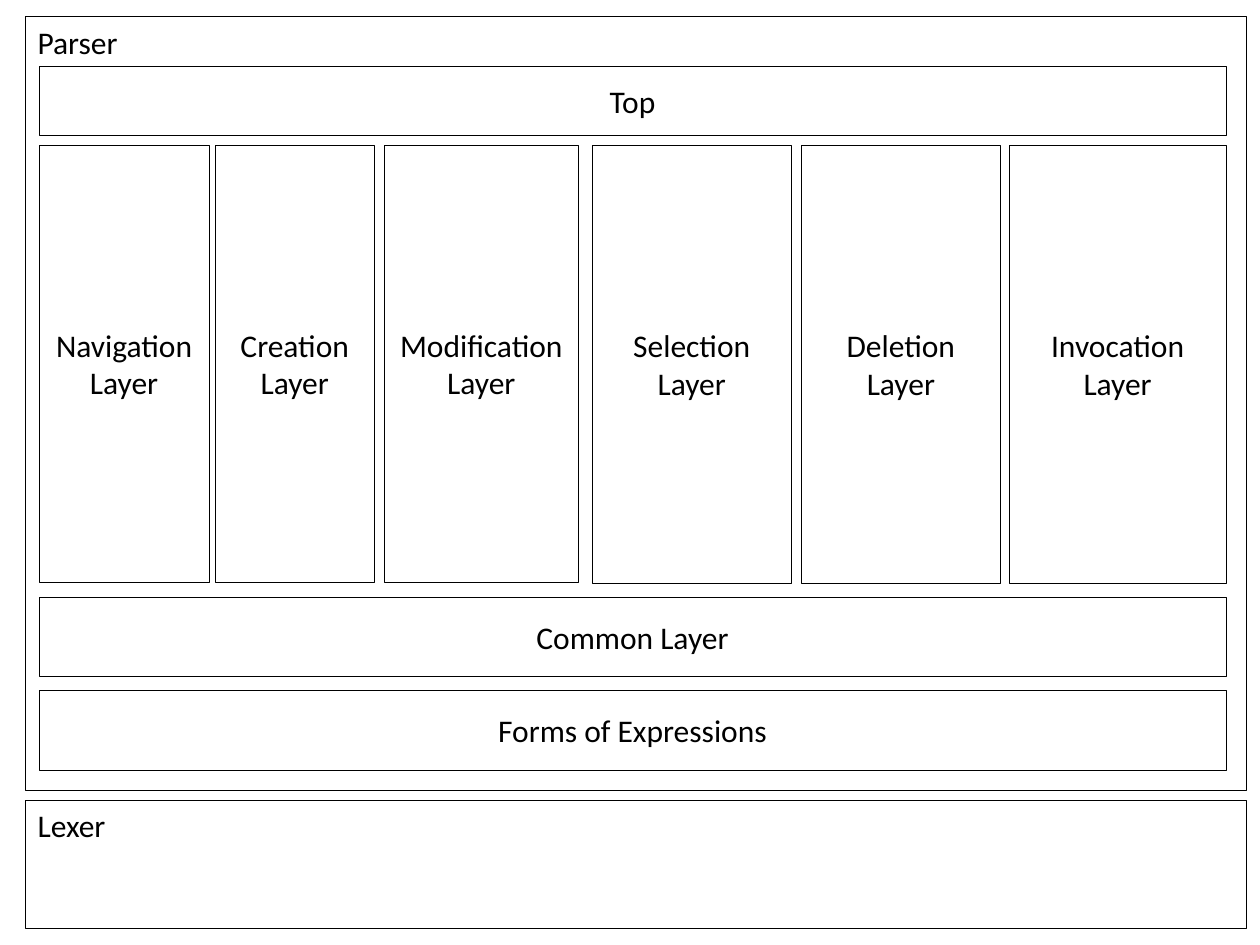
from pptx import Presentation
from pptx.dml.color import RGBColor
from pptx.enum.shapes import MSO_SHAPE as Shape
from pptx.enum.text import MSO_ANCHOR as Anchor, MSO_AUTO_SIZE as AutoSize, PP_ALIGN as Align
from pptx.util import Inches, Pt

BLACK, WHITE = "000000", "FFFFFF"
BANDS = [("Top", 0.4, 0.54), ("Common Layer", 4.61, 0.63), ("Forms of Expressions", 5.35, 0.63)]
LAYERS = [
    ("Navigation", 0, 1.35, 3.47),
    ("Creation", 1.4, 1.26, 3.47),
    ("Modification", 2.74, 1.54, 3.47),
    ("Selection", 4.39, 1.58, 3.48),
    ("Deletion", 6.05, 1.58, 3.48),
    ("Invocation", 7.7, 1.72, 3.48),
]


def color(value):
    return RGBColor.from_string(value)


def write(frame, text, align):
    para = frame.paragraphs[0]
    para.text = text
    para.alignment = align
    para.font.name = "Calibri"
    para.font.size = Pt(18)
    para.font.color.rgb = color(BLACK)


def add_box(page, left, top, width, height, text=None):
    box = page.shapes.add_shape(
        Shape.RECTANGLE, Inches(left), Inches(top), Inches(width), Inches(height))
    box.shadow.inherit = False
    box.fill.solid()
    box.fill.fore_color.rgb = color(WHITE)
    box.line.color.rgb = color(BLACK)
    box.line.width = Pt(0.25)
    if text:
        box.text_frame.word_wrap = True
        box.text_frame.vertical_anchor = Anchor.MIDDLE
        write(box.text_frame, text, Align.CENTER)


def add_section(page, left, top, width, height, title, title_width):
    add_box(page, left, top, width, height)
    label = page.shapes.add_textbox(
        Inches(left), Inches(top), Inches(title_width), Inches(0.4))
    label.text_frame.word_wrap = False
    label.text_frame.auto_size = AutoSize.SHAPE_TO_FIT_TEXT
    write(label.text_frame, title, Align.LEFT)


def add_parser(page, left, top, width, height):
    add_section(page, left, top, width, height, "Parser", 0.84)
    inner_left = left + 0.11
    inner_width = width - 0.27
    for name, offset, band_height in BANDS:
        add_box(page, inner_left, top + offset, inner_width, band_height, name)
    for name, offset, layer_width, layer_height in LAYERS:
        add_box(page, inner_left + offset, top + 1.02, layer_width, layer_height, f"{name} Layer")


def add_lexer(page, left, top, width, height):
    add_section(page, left, top, width, height, "Lexer", 0.75)


deck = Presentation()
deck.slide_width = Inches(10)
deck.slide_height = Inches(7.5)
page = deck.slides.add_slide(deck.slide_layouts[6])
add_parser(page, 0.2, 0.13, 9.69, 6.14)
add_lexer(page, 0.2, 6.35, 9.69, 1.02)
deck.save("out.pptx")
